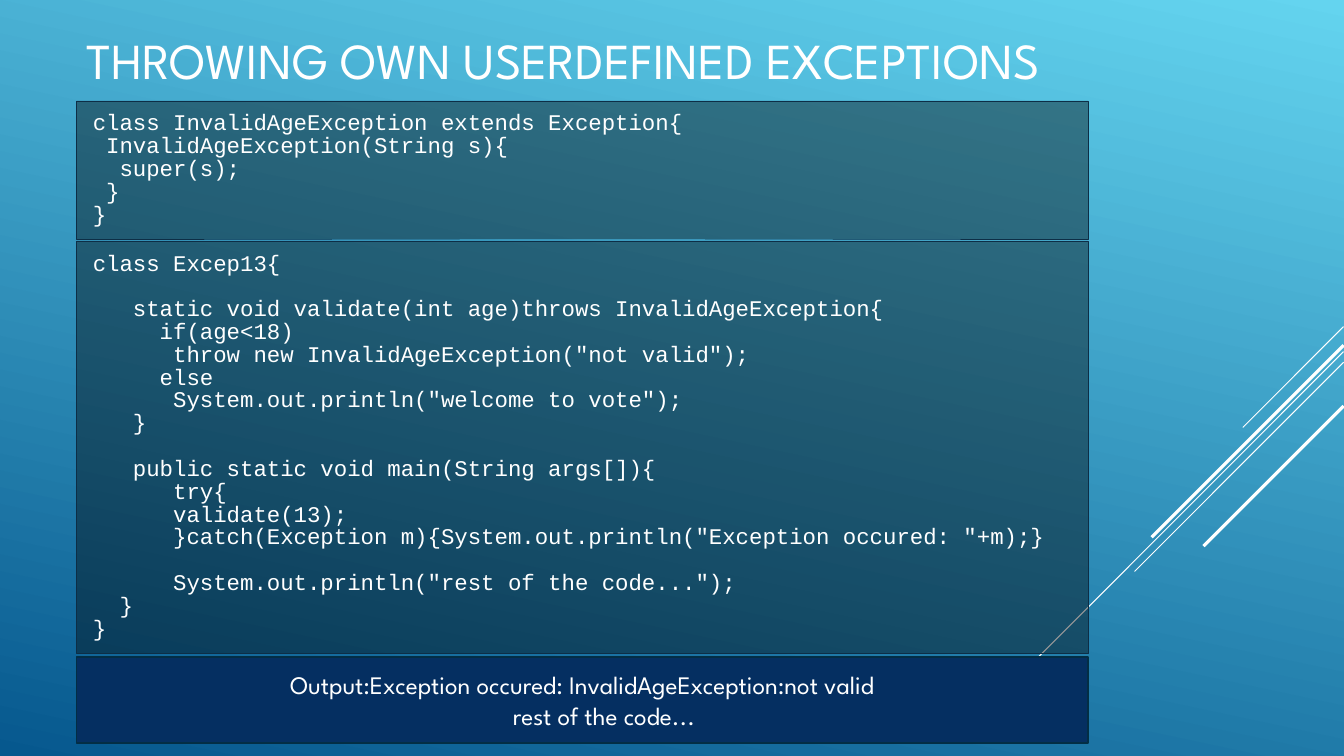
from lxml.etree import SubElement
from pptx import Presentation
from pptx.dml.color import RGBColor as RGB
from pptx.enum.shapes import MSO_CONNECTOR as LINK, MSO_SHAPE as SHAPE
from pptx.enum.text import MSO_ANCHOR as ANCHOR, MSO_AUTO_SIZE as AUTO, PP_ALIGN as ALIGN
from pptx.oxml.ns import qn
from pptx.util import Cm, Pt

HUES = {"sky": "64D4EF", "deep": "06588E", "white": "FFFFFF", "black": "000000",
        "edge": "0D2E46", "navy": "052F61", "rim": "032E45"}
COL = {name: RGB.from_string(hue) for name, hue in HUES.items()}
MONO, SANS = "Courier New", "League Spartan"
LEFT, WIDE = Cm(1.93), Cm(25.5)

RULE = '''class InvalidAgeException extends Exception{
 InvalidAgeException(String s){
  super(s);
 }
}'''

MAIN = '''class Excep13{

   static void validate(int age)throws InvalidAgeException{
     if(age<18)
      throw new InvalidAgeException("not valid");
     else
      System.out.println("welcome to vote");
   }

   public static void main(String args[]){
      try{
      validate(13);
      }catch(Exception m){System.out.println("Exception occured: "+m);}

      System.out.println("rest of the code...");
  }
}'''


def write(para, text, font, size):
    run = para.add_run()
    run.text = text
    run.font.name = font
    run.font.size = Pt(size)
    run.font.color.rgb = COL["white"]


def panel(top, high, fill, line, width):
    box = slide.shapes.add_shape(SHAPE.RECTANGLE, LEFT, Cm(top), WIDE, Cm(high))
    box.shadow.inherit = False
    box.fill.solid()
    box.fill.fore_color.rgb = COL[fill]
    box.line.color.rgb = COL[line]
    box.line.width = Pt(width)
    box.text_frame.word_wrap = True
    return box


deck = Presentation()
deck.slide_width, deck.slide_height = Cm(33.88), Cm(19.05)
slide = deck.slides.add_slide(deck.slide_layouts[5])

# Background
back = slide.background.fill
back.gradient()
back.gradient_angle = 258
for stop, name in zip(back.gradient_stops, ("sky", "deep")):
    stop.color.rgb = COL[name]

# Diagonal lines from the right edge: start height, run, width
EDGE = 33.87
for top, run, width in ((8.23, 2.54, 0.75), (8.86, 8.28, 0.75), (9.13, 5.27, 0.75),
                        (8.7, 4.84, 2.25), (10.23, 3.53, 2.25)):
    ray = slide.shapes.add_connector(LINK.STRAIGHT, Cm(EDGE), Cm(top),
                                     Cm(EDGE - run), Cm(top + run))
    ray.line.color.rgb = COL["white"]
    ray.line.width = Pt(width)
    SubElement(ray._element.spPr, qn("a:effectLst"))

# Title
title = slide.shapes.title
title.left, title.top, title.width, title.height = LEFT, Cm(0.43), Cm(27.61), Cm(2.11)
frame = title.text_frame
frame.word_wrap = True
frame.auto_size = AUTO.NONE
frame.vertical_anchor = ANCHOR.MIDDLE
frame.paragraphs[0].alignment = ALIGN.LEFT
write(frame.paragraphs[0], "THROWING OWN USERDEFINED EXCEPTIONS", SANS, 36)

# Code panels
for top, high, code in ((2.54, 3.48, RULE), (6.07, 10.39, MAIN)):
    box = panel(top, high, "black", "edge", 0.25)
    tint = box.fill._xPr.find(qn("a:solidFill"))[0]
    SubElement(tint, qn("a:alpha"), val="40000")
    frame = box.text_frame
    frame.auto_size = AUTO.SHAPE_TO_FIT_TEXT
    frame.vertical_anchor = ANCHOR.TOP
    frame.margin_left = frame.margin_right = Cm(0.41)
    frame.margin_top = frame.margin_bottom = Cm(0.3)
    para = frame.paragraphs[0]
    for part, block in enumerate(code.split("\n\n")):
        for row, text in enumerate(block.split("\n")):
            if part or row:
                para = frame.add_paragraph()
            if part and not row:
                para.space_before = Pt(16.3)
            para.alignment = ALIGN.LEFT
            para.line_spacing = 0.85
            write(para, text, MONO, 16)

# Output panel
frame = panel(16.56, 2.16, "navy", "rim", 1.25).text_frame
frame.vertical_anchor = ANCHOR.MIDDLE
first, last = frame.paragraphs[0], frame.add_paragraph()
for para, text in ((first, "Output:Exception occured: InvalidAgeException:not valid"),
                   (last, "rest of the code...")):
    para.alignment = ALIGN.CENTER
    write(para, text, SANS, 18)
last._p.get_or_add_pPr().set("marL", str(Cm(1.1)))

deck.save("out.pptx")
